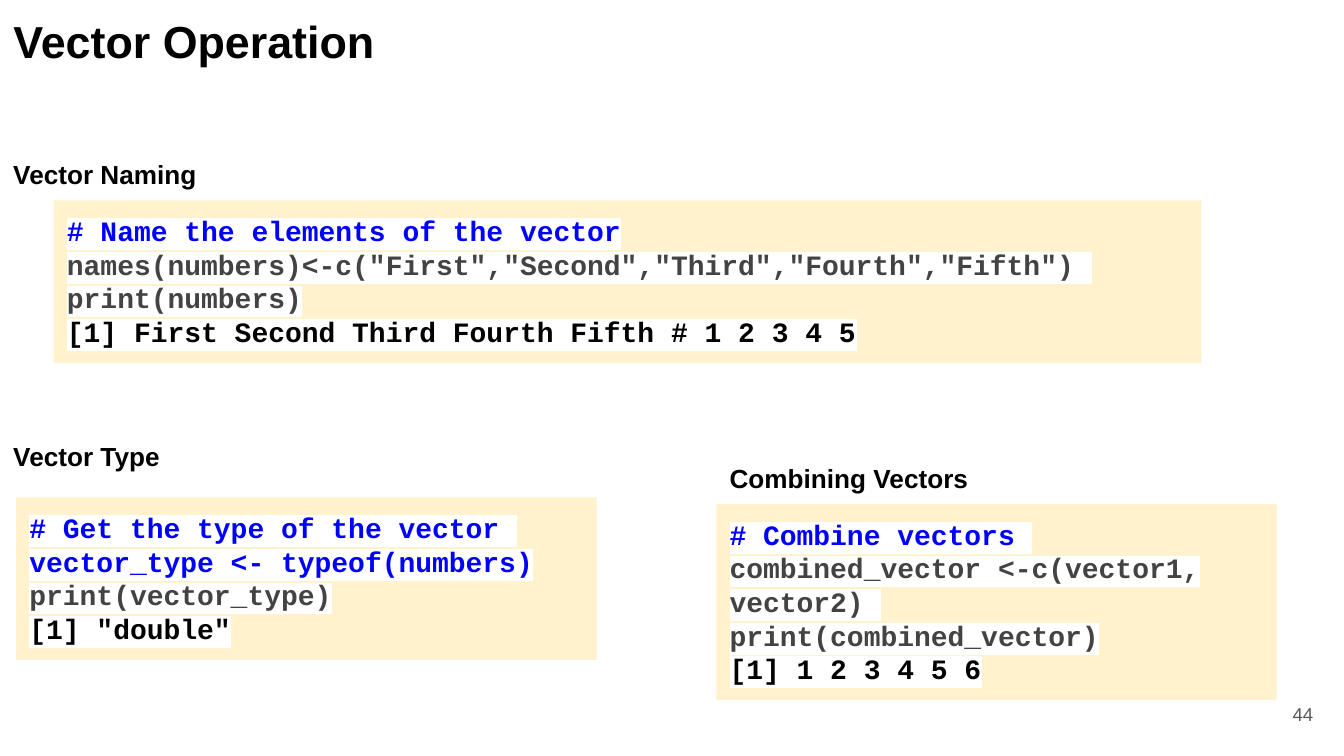
import lxml.etree
import pptx
import pptx.dml.color
import pptx.enum.shapes
import pptx.enum.text
import pptx.oxml.ns
import pptx.util

RGBColor = pptx.dml.color.RGBColor
BLACK = RGBColor(0x00, 0x00, 0x00)
WHITE = RGBColor(0xFF, 0xFF, 0xFF)
BLUE = RGBColor(0x00, 0x00, 0xFF)
DARK_GRAY = RGBColor(0x43, 0x43, 0x43)
PAGE_GRAY = RGBColor(0x59, 0x59, 0x59)
CREAM = RGBColor(0xFF, 0xF2, 0xCC)

SLIDE_WIDTH = pptx.util.Inches(10)
SLIDE_HEIGHT = SLIDE_WIDTH * 9 // 16
CELL = SLIDE_WIDTH / 100  # the grid has 100 columns of square cells
INSET = pptx.util.Inches(0.1)
TITLE_ONLY_LAYOUT = 5
HEADING_WIDTH, HEADING_HEIGHT = 32.8, 4.4

# Each section: box (left, top, width, height), panel indent, panel drop,
# heading, and code lines made of (text, colour) pieces.
SECTIONS = [
    ((0, 10.8, 89.4, 16.2), 4, 4.1, "Vector Naming", [
        [("# Name the elements of the vector", BLUE)],
        [('names(numbers)<-c("First","Second","Third","Fourth","Fifth") ', DARK_GRAY)],
        [("print(numbers)", DARK_GRAY)],
        [("[1] First Second Third Fourth Fifth # 1 2 3 4 5", BLACK)],
    ]),
    ((0, 31.8, 44.4, 17.3), 1.2, 5.2, "Vector Type", [
        [("# Get the type of the vector ", BLUE)],
        [("vector_type <- typeof(numbers) ", BLUE), ("print(vector_type)", DARK_GRAY)],
        [('[1] "double"', BLACK)],
    ]),
    ((53.3, 33.4, 41.7, 18.7), 0, 4.1, "Combining Vectors", [
        [("# Combine vectors ", BLUE)],
        [("combined_vector <-c(vector1, vector2) ", DARK_GRAY)],
        [("print(combined_vector)", DARK_GRAY)],
        [("[1] 1 2 3 4 5 6", BLACK)],
    ]),
]


def grid(*cells):
    return [round(cell * CELL) for cell in cells]


def prepare_frame(shape, anchor=pptx.enum.text.MSO_ANCHOR.TOP):
    """Give the shape wrapping text with equal insets, and return its frame."""
    frame = shape.text_frame
    frame.word_wrap = True
    frame.auto_size = pptx.enum.text.MSO_AUTO_SIZE.NONE
    frame.vertical_anchor = anchor
    frame.margin_left = frame.margin_right = INSET
    frame.margin_top = frame.margin_bottom = INSET
    return frame


def format_run(run, size, color, bold=True, name="Arial", highlight=None):
    run.font.size = pptx.util.Pt(size)
    run.font.bold = bold
    run.font.color.rgb = color
    if highlight is not None:
        # The schema wants the highlight between the fill and the typeface.
        element = lxml.etree.SubElement(
            run.font._element, pptx.oxml.ns.qn("a:highlight"))
        lxml.etree.SubElement(
            element, pptx.oxml.ns.qn("a:srgbClr"), val=str(highlight))
    run.font.name = name


def add_title(slide, box, text):
    title = slide.shapes.title
    title.left, title.top, title.width, title.height = grid(*box)
    paragraph = prepare_frame(title).paragraphs[0]
    paragraph.text = text
    paragraph.alignment = pptx.enum.text.PP_ALIGN.LEFT
    format_run(paragraph.runs[0], 24, BLACK)


def add_code_panel(slide, box, lines):
    panel = slide.shapes.add_shape(
        pptx.enum.shapes.MSO_SHAPE.RECTANGLE, *grid(*box))
    panel.shadow.inherit = False
    panel.fill.solid()
    panel.fill.fore_color.rgb = CREAM
    panel.line.fill.background()
    frame = prepare_frame(panel)
    for index, pieces in enumerate(lines):
        paragraph = frame.add_paragraph() if index else frame.paragraphs[0]
        paragraph.alignment = pptx.enum.text.PP_ALIGN.LEFT
        for text, color in pieces:
            run = paragraph.add_run()
            run.text = text
            format_run(run, 15, color, name="Courier New", highlight=WHITE)


def add_section(slide, box, indent, drop, heading, lines):
    """Place a heading at the top of the box and a code panel in the rest."""
    left, top, width, height = box
    label = slide.shapes.add_textbox(
        *grid(left, top, HEADING_WIDTH, HEADING_HEIGHT))
    paragraph = prepare_frame(label).paragraphs[0]
    paragraph.text = heading
    format_run(paragraph.runs[0], 14, BLACK)
    add_code_panel(
        slide, (left + indent, top + drop, width - indent, height - drop), lines)


def add_page_number(slide, box, number):
    label = slide.shapes.add_textbox(*grid(*box))
    frame = prepare_frame(label, pptx.enum.text.MSO_ANCHOR.MIDDLE)
    paragraph = frame.paragraphs[0]
    paragraph.text = str(number)
    paragraph.alignment = pptx.enum.text.PP_ALIGN.RIGHT
    format_run(paragraph.runs[0], 10, PAGE_GRAY, bold=False)


def main():
    presentation = pptx.Presentation()
    presentation.slide_width = SLIDE_WIDTH
    presentation.slide_height = SLIDE_HEIGHT
    slide = presentation.slides.add_slide(
        presentation.slide_layouts[TITLE_ONLY_LAYOUT])
    add_title(slide, (0, 0, 32.8, 6.1), "Vector Operation")
    for section in SECTIONS:
        add_section(slide, *section)
    add_page_number(slide, (92.7, 51, 6, 4.3), 44)
    presentation.save("out.pptx")


if __name__ == "__main__":
    main()
